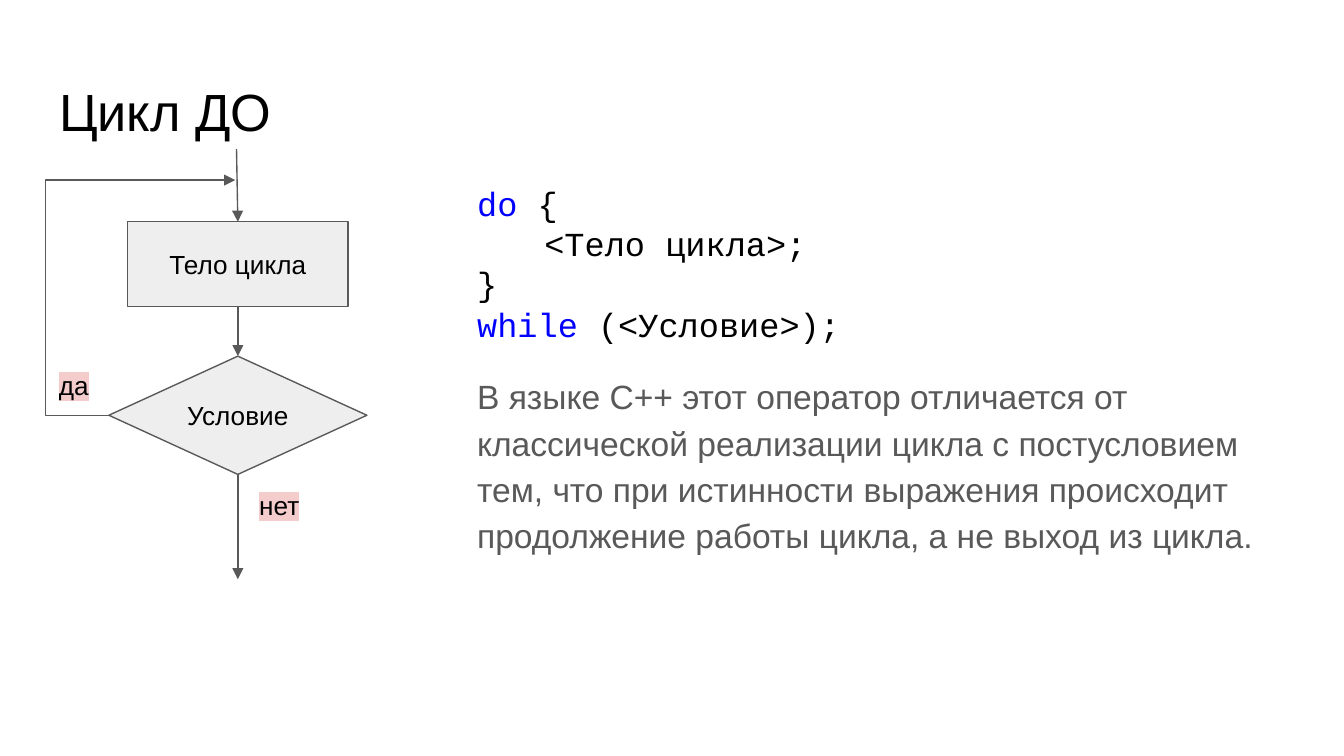
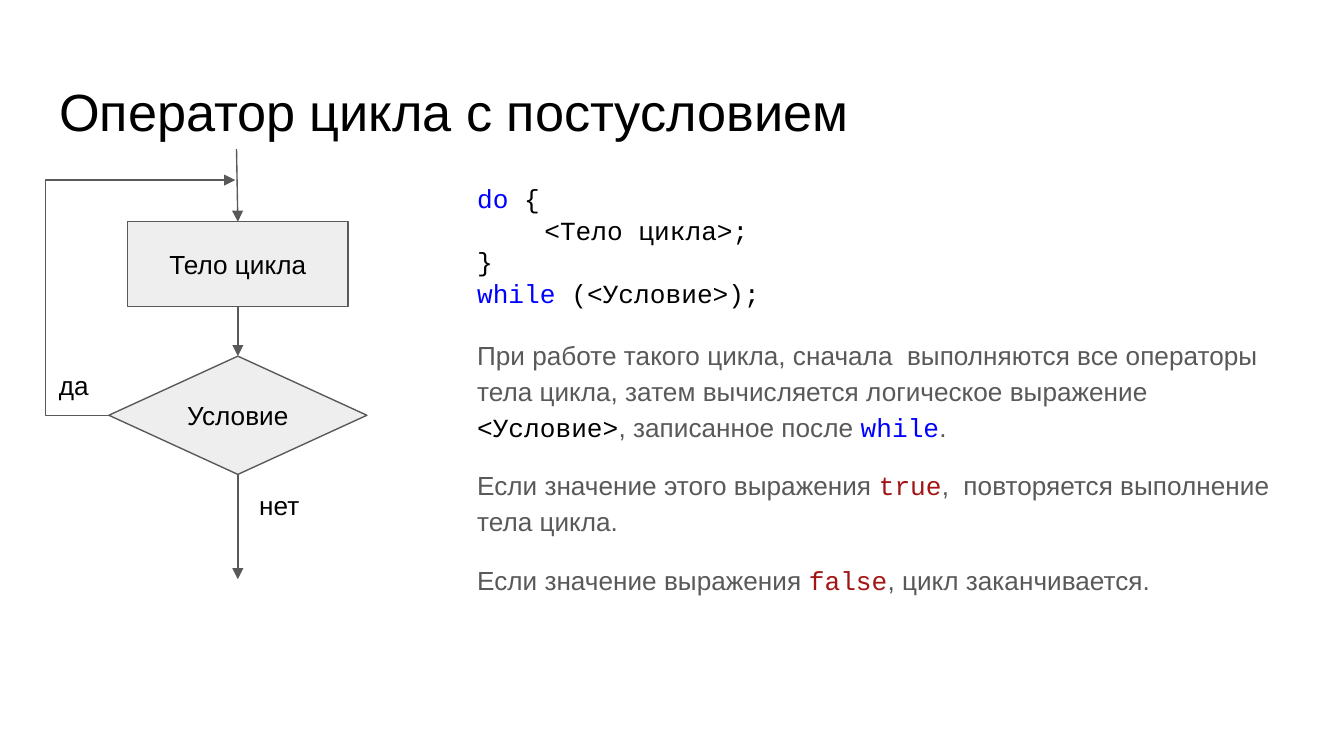
from dataclasses import dataclass
from typing import NamedTuple, Optional

from pptx import Presentation
from pptx.dml.color import RGBColor
from pptx.enum import shapes, text
from pptx.oxml.ns import qn
from pptx.util import Inches, Pt
from lxml import etree


@dataclass(frozen=True)
class Theme:
    sans: str = "Arial"
    mono: str = "Courier New"
    black: str = "000000"
    gray: str = "595959"
    fill: str = "EEEEEE"
    white: str = "FFFFFF"
    pink: str = "F4CCCC"
    keyword: str = "0000FF"
    literal: str = "A31515"
    title_size: float = 28
    label_size: float = 14
    line_width: float = 0.75
    inset: float = 0.1


T = Theme()


class Box(NamedTuple):
    left: float
    top: float
    width: float
    height: float


class Span(NamedTuple):
    text: str
    font: str
    color: str
    highlight: Optional[str] = None


@dataclass(frozen=True)
class Para:
    spans: list[Span]
    indent: float = 0
    line: float = 1.0
    before: float = 0
    after: float = 0


@dataclass(frozen=True)
class LoopSlide:
    title: str
    size: float
    notes: list[Para]
    label_highlight: Optional[str] = None


class Node(NamedTuple):
    kind: shapes.MSO_SHAPE
    label: str
    box: Box


class Label(NamedTuple):
    text: str
    box: Box


def code(txt: str, color: str = T.black) -> Span:
    return Span(txt, T.mono, color, T.white)


def prose(txt: str) -> Span:
    return Span(txt, T.sans, T.gray)


TITLE_BOX = Box(0.34, 0.49, 9.32, 0.63)
BODY_BOX = Box(3.45, 1.26, 6.21, 3.74)
NODES = [
    Node(shapes.MSO_SHAPE.RECTANGLE, "Тело цикла", Box(0.95, 1.65, 1.64, 0.63)),
    Node(shapes.MSO_SHAPE.DIAMOND, "Условие", Box(0.81, 2.65, 1.92, 0.88)),
]
LABELS = [
    Label("нет", Box(1.83, 3.54, 0.55, 0.44)),
    Label("да", Box(0.34, 2.65, 0.55, 0.44)),
]
ENTRY = (1.76, 1.11)
EXIT = (1.77, 4.31)
RETURN = (1.75, 1.34)
RETURN_LEFT = 0.34

CODE = [
    Para([code("do", T.keyword), code(" {")]),
    Para([code("<Тело цикла>;")], indent=0.5),
    Para([code("}")]),
    Para([code("while", T.keyword), code(" (<Условие>);")]),
]

SLIDES = [
    LoopSlide(
        "Цикл ДО", 18,
        [Para([prose("В языке C++ этот оператор отличается от классической реализации "
                     "цикла с постусловием тем, что при истинности выражения происходит "
                     "продолжение работы цикла, а не выход из цикла.")],
              line=1.15, before=14, after=12)],
        label_highlight=T.pink,
    ),
    LoopSlide(
        "Оператор цикла с постусловием", 14,
        [
            Para([prose("При работе такого цикла, сначала  выполняются все операторы тела "
                        "цикла, затем вычисляется логическое выражение "),
                  code("<Условие>"), prose(", записанное после "),
                  code("while", T.keyword), prose(".")],
                 line=1.15, before=14),
            Para([prose("Если значение этого выражения "), code("true", T.literal),
                  prose(",  повторяется выполнение тела цикла.")],
                 line=1.15, before=12),
            Para([prose("Если значение выражения "), code("false", T.literal),
                  prose(", цикл заканчивается.")],
                 line=1.15, before=12, after=12),
        ],
    ),
]


def rgb(color: str) -> RGBColor:
    return RGBColor.from_string(color)


def add_run(p, txt: str, *, size: float, font: str = T.sans, color: str = T.black,
            highlight: Optional[str] = None) -> None:
    r = p.add_run()
    r.text = txt
    r.font.size = Pt(size)
    r.font.color.rgb = rgb(color)
    if highlight:
        h = etree.SubElement(r.font._element, qn("a:highlight"))
        etree.SubElement(h, qn("a:srgbClr"), val=highlight)
    r.font.name = font


def place(sp, box: Box) -> None:
    sp.left, sp.top, sp.width, sp.height = map(Inches, box)


def set_frame(sp, anchor=text.MSO_ANCHOR.TOP, fit=text.MSO_AUTO_SIZE.NONE):
    tf = sp.text_frame
    tf.word_wrap = True
    tf.auto_size = fit
    tf.vertical_anchor = anchor
    tf.margin_left = tf.margin_right = tf.margin_top = tf.margin_bottom = Inches(T.inset)
    return tf


def add_title(s, title: str) -> None:
    sp = s.shapes.title
    place(sp, TITLE_BOX)
    p = set_frame(sp).paragraphs[0]
    p.alignment = text.PP_ALIGN.LEFT
    add_run(p, title, size=T.title_size)


def add_body(s, paras: list[Para], size: float) -> None:
    sp = s.placeholders[1]
    place(sp, BODY_BOX)
    tf = set_frame(sp)
    for i, para in enumerate(paras):
        p = tf.add_paragraph() if i else tf.paragraphs[0]
        p.line_spacing = para.line
        p.space_before = Pt(para.before)
        p.space_after = Pt(para.after)
        pPr = p._p.get_or_add_pPr()
        pPr.set("marL", "0")
        pPr.set("indent", str(Inches(para.indent)))
        etree.SubElement(pPr, qn("a:buNone"))
        for span in para.spans:
            add_run(p, span.text, size=size, font=span.font, color=span.color,
                    highlight=span.highlight)


def add_node(s, node: Node):
    sp = s.shapes.add_shape(node.kind, *map(Inches, node.box))
    sp.shadow.inherit = False
    sp.fill.solid()
    sp.fill.fore_color.rgb = rgb(T.fill)
    sp.line.color.rgb = rgb(T.gray)
    sp.line.width = Pt(T.line_width)
    p = set_frame(sp, text.MSO_ANCHOR.MIDDLE).paragraphs[0]
    p.alignment = text.PP_ALIGN.CENTER
    add_run(p, node.label, size=T.label_size)
    return sp


def add_label(s, label: Label, highlight: Optional[str]) -> None:
    sp = s.shapes.add_textbox(*map(Inches, label.box))
    tf = set_frame(sp, fit=text.MSO_AUTO_SIZE.SHAPE_TO_FIT_TEXT)
    add_run(tf.paragraphs[0], label.text, size=T.label_size, highlight=highlight)


def add_arrow(s, start=(0, 0), end=(0, 0), *, source=None, target=None,
              kind=shapes.MSO_CONNECTOR.STRAIGHT):
    c = s.shapes.add_connector(kind, *map(Inches, (*start, *end)))
    if source:
        c.begin_connect(*source)
    if target:
        c.end_connect(*target)
    c.line.color.rgb = rgb(T.gray)
    c.line.width = Pt(T.line_width)
    etree.SubElement(c.line._get_or_add_ln(), qn("a:tailEnd"), type="triangle")
    etree.SubElement(c._element.spPr, qn("a:effectLst"))
    return c


def add_return_arrow(s, diamond) -> None:
    c = add_arrow(s, (NODES[1].box.left, 3.09), RETURN, source=(diamond, 1),
                  kind=shapes.MSO_CONNECTOR.ELBOW)
    bend = round((Inches(RETURN_LEFT) - c.begin_x) / c.width * 100000)
    geom = c._element.spPr.find(qn("a:prstGeom"))
    guides = geom.find(qn("a:avLst"))
    if guides is None:
        guides = etree.SubElement(geom, qn("a:avLst"))
    etree.SubElement(guides, qn("a:gd"), name="adj1", fmla=f"val {bend}")


def add_flowchart(s, highlight: Optional[str]) -> None:
    body, condition = [add_node(s, node) for node in NODES]
    for label in LABELS:
        add_label(s, label, highlight)
    add_arrow(s, start=ENTRY, target=(body, 0))
    add_arrow(s, source=(body, 2), target=(condition, 0))
    add_arrow(s, end=EXIT, source=(condition, 2))
    add_return_arrow(s, condition)


def main() -> None:
    prs = Presentation()
    prs.slide_width = Inches(10)
    prs.slide_height = prs.slide_width * 9 // 16
    for item in SLIDES:
        s = prs.slides.add_slide(prs.slide_layouts[1])
        add_title(s, item.title)
        add_flowchart(s, item.label_highlight)
        add_body(s, CODE + item.notes, item.size)
    prs.save("out.pptx")


if __name__ == "__main__":
    main()
